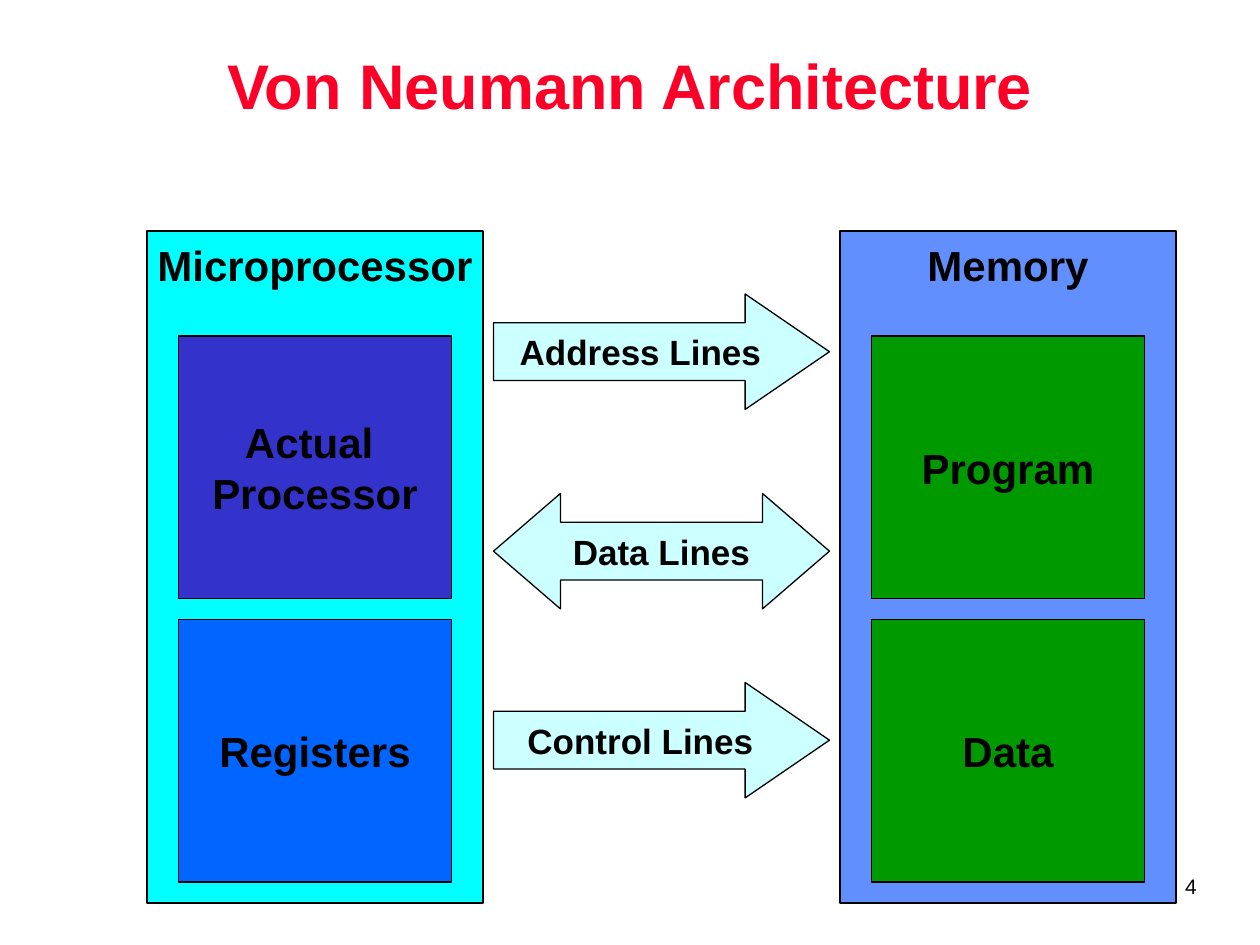
from pptx import Presentation
from pptx.dml.color import RGBColor
from pptx.enum.shapes import MSO_SHAPE
from pptx.enum.text import MSO_ANCHOR, PP_ALIGN
from pptx.util import Pt

BLACK = RGBColor(0, 0, 0)
RED = RGBColor(0xFC, 0x01, 0x28)
CYAN = RGBColor(0, 0xFF, 0xFF)
SKY = RGBColor(0x61, 0x8F, 0xFD)
INDIGO = RGBColor(0x33, 0x33, 0xCC)
BLUE = RGBColor(0, 0x66, 0xFF)
GREEN = RGBColor(0, 0x99, 0)
PALE = RGBColor(0xCC, 0xFF, 0xFF)

# Content
TITLE = "Von Neumann Architecture"
NUMBER = "4"
UNITS = [  # heading, fill, left, inner parts
    ("Memory", SKY, 480, [("Program", GREEN), ("Data", GREEN)]),
    ("Microprocessor", CYAN, 84,
     [("Actual \nProcessor", INDIGO), ("Registers", BLUE)]),
]
ONE_WAY = (MSO_SHAPE.RIGHT_ARROW, 0.73)
TWO_WAY = (MSO_SHAPE.LEFT_RIGHT_ARROW, 0.58)
BUSES = [  # label, top, arrow
    ("Address Lines", 168, ONE_WAY),
    ("Data Lines", 282, TWO_WAY),
    ("Control Lines", 390, ONE_WAY),
]

# Layout in points
TOP, WIDE, HIGH = 132, 192, 384
PAD, PART_TOP, PART_HIGH, GAP = 18, 192, 150, 12
BUS_LEFT, BUS_HIGH = 282, 66

deck = Presentation()
deck.slide_width, deck.slide_height = Pt(720), Pt(540)
slide = deck.slides.add_slide(deck.slide_layouts[6])


def write(shape, text, size, color=BLACK, bold=True, align=PP_ALIGN.CENTER,
          space=1.0, **frame):
    body = shape.text_frame
    body.text = text
    look = {"word_wrap": False, "vertical_anchor": MSO_ANCHOR.MIDDLE} | frame
    for name, value in look.items():
        setattr(body, name, value)
    font = {"name": "Arial", "size": Pt(size), "bold": bold}
    for para in body.paragraphs:
        para.alignment = align
        para.line_spacing = space
        for run in para.runs:
            for name, value in font.items():
                setattr(run.font, name, value)
            run.font.color.rgb = color


def draw(kind, box, fill, text, size, **frame):
    shape = slide.shapes.add_shape(kind, *map(Pt, box))
    shape.shadow.inherit = False
    shape.fill.solid()
    shape.fill.fore_color.rgb = fill
    shape.line.color.rgb = BLACK
    shape.line.width = Pt(0.75)
    write(shape, text, size, **frame)
    return shape


# Slide number
foot = slide.shapes.add_textbox(Pt(669.5), Pt(495.5), Pt(21.5), Pt(21.6))
write(foot, NUMBER, 12, bold=False, align=PP_ALIGN.RIGHT,
      vertical_anchor=MSO_ANCHOR.TOP)

# Title
title = slide.shapes.add_textbox(Pt(78), Pt(6), Pt(564), Pt(90))
write(title, TITLE, 36, RED, space=0.9, word_wrap=True)

# Units with their inner parts
for head, fill, left, parts in UNITS:
    draw(MSO_SHAPE.RECTANGLE, (left, TOP, WIDE, HIGH), fill, head, 24,
         vertical_anchor=MSO_ANCHOR.TOP, margin_top=Pt(4.7))
    for row, (name, tint) in enumerate(parts):
        top = PART_TOP + row * (PART_HIGH + GAP)
        draw(MSO_SHAPE.RECTANGLE,
             (left + PAD, top, WIDE - 2 * PAD, PART_HIGH), tint, name, 24)

# Buses between the units
for label, top, (kind, tip) in BUSES:
    arrow = draw(kind, (BUS_LEFT, top, WIDE, BUS_HIGH), PALE, label, 20)
    arrow.adjustments[0] = 0.5
    arrow.adjustments[1] = tip

deck.save("out.pptx")
